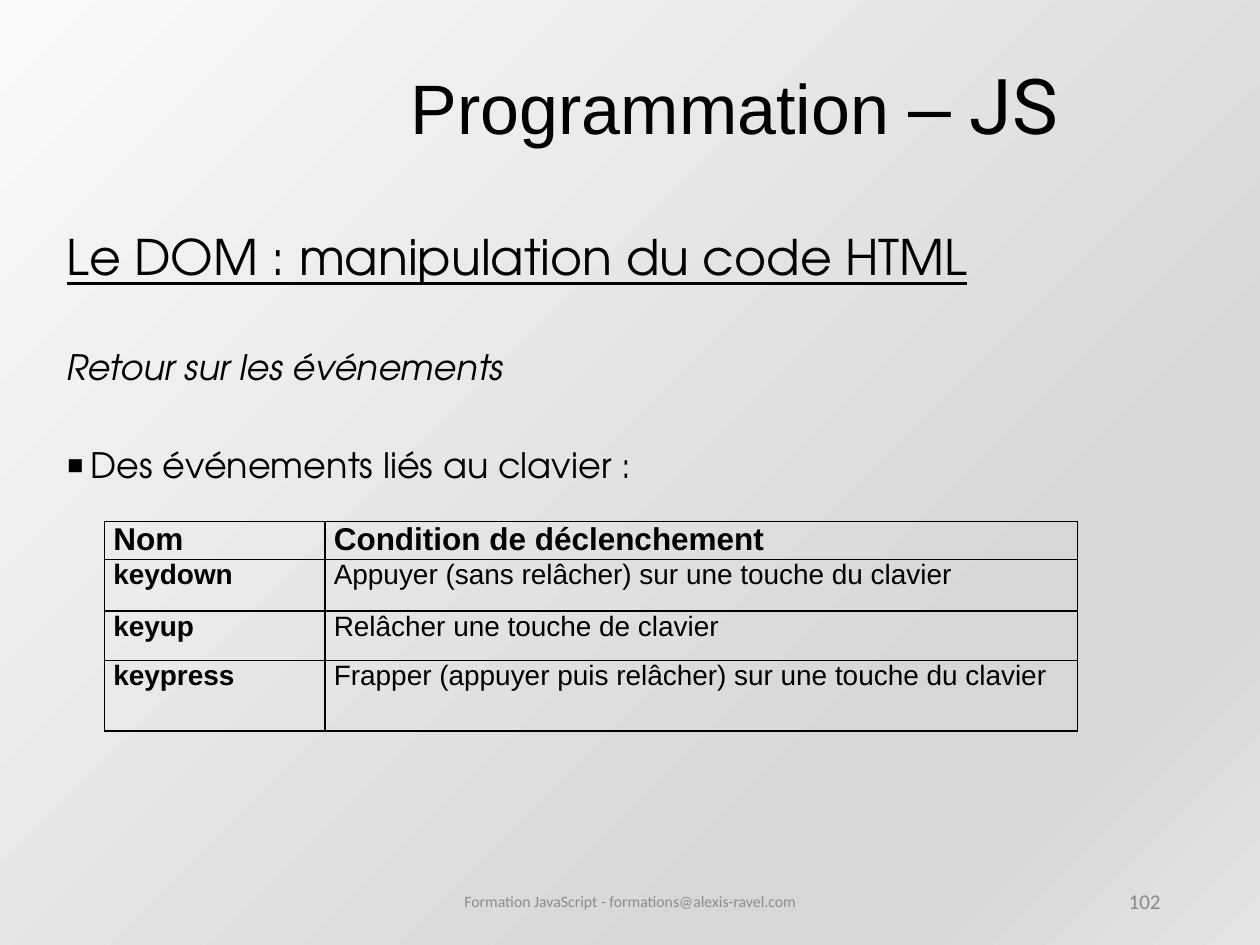
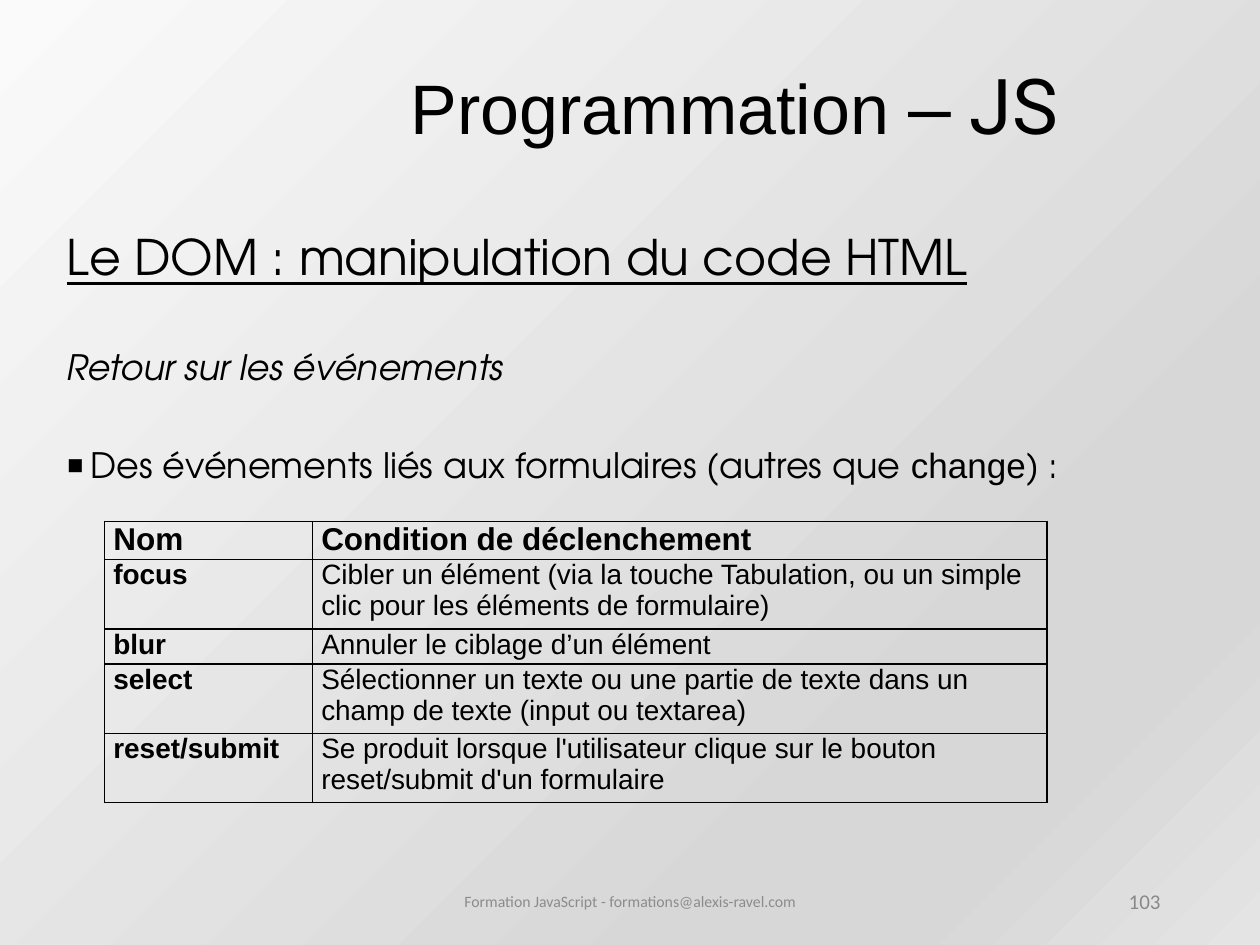
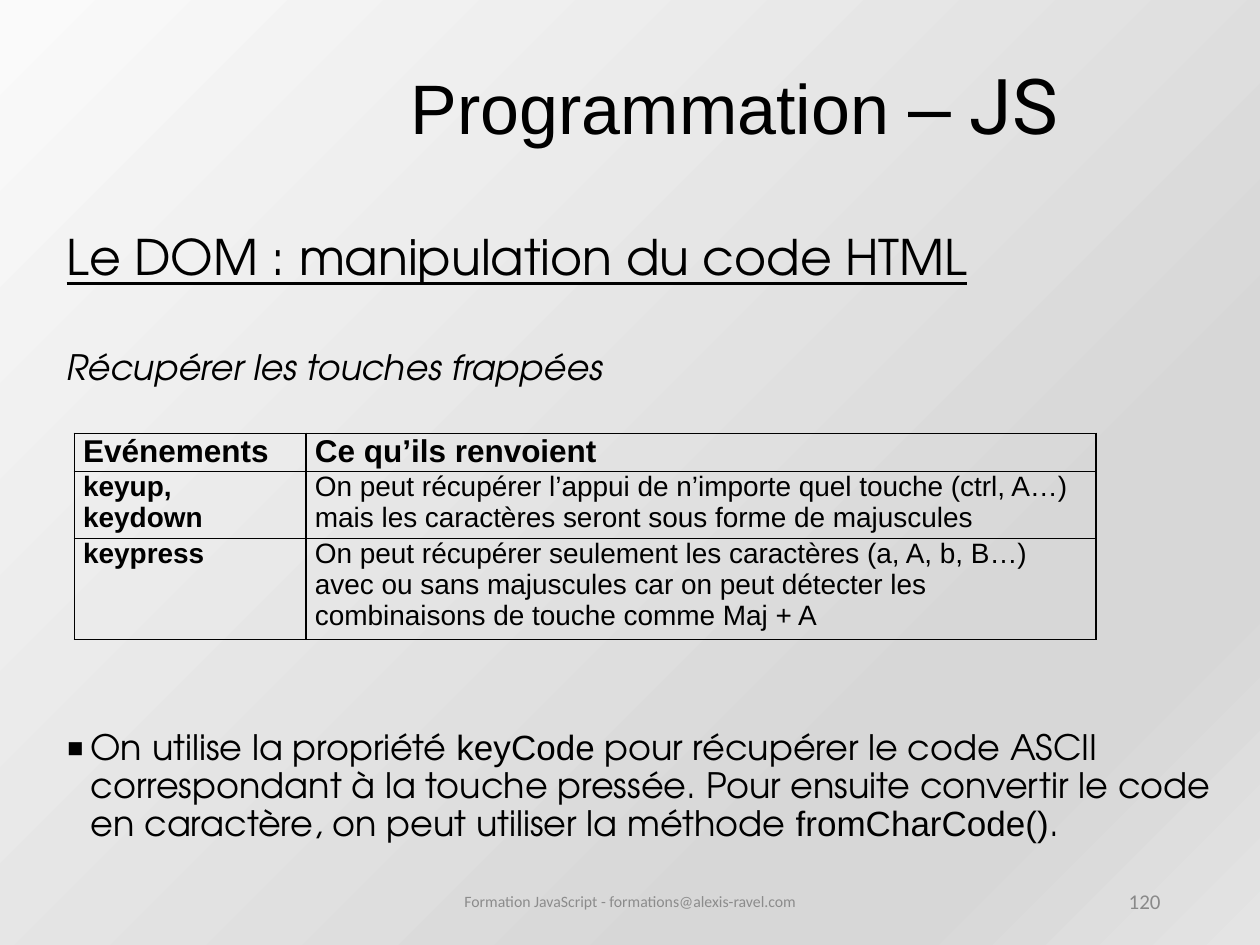
from dataclasses import dataclass

from pptx import Presentation
from pptx.dml.color import RGBColor
from pptx.enum.text import MSO_ANCHOR, PP_ALIGN
from pptx.oxml import parse_xml
from pptx.oxml.ns import nsdecls, qn
from pptx.util import Inches, Pt

COLORS = {
    "text": "000000",
    "border": "000000",
    "footer": "8C8C8C",
    "number": "898989",
    "light": "FAFAFA",
    "middle": "D7D7D7",
    "end": "E4E4E4",
}
BACKGROUND_STOPS = [(0, "light"), (74, "middle"), (83, "middle"), (100, "end")]
BODY_FONT = "TeX Gyre Adventor"
TABLE_FONT = "Arial"
CODE_FONT = "Arial"
TITLE_FONT = "Roboto"
FOOTER_FONT = "Calibri"
HEADING = "Le DOM : manipulation du code HTML"
FOOTER = "Formation JavaScript - formations@alexis-ravel.com"


@dataclass
class EventTable:
    left: float
    top: float
    widths: list[float]
    heights: list[float]
    rows: list[tuple[str, str]]


@dataclass
class Lesson:
    number: int
    topic: str
    bullet: list[tuple[str, str]]
    bullet_gap: float
    table: EventTable


LESSONS = [
    Lesson(
        102,
        "Retour sur les événements",
        [("Des événements liés au clavier :", BODY_FONT)],
        34.5,
        EventTable(0.83, 4.14, [1.75, 5.97], [0.3, 0.41, 0.39, 0.56], [
            ("Nom", "Condition de déclenchement"),
            ("keydown", "Appuyer (sans relâcher) sur une touche du clavier"),
            ("keyup", "Relâcher une touche de clavier"),
            ("keypress", "Frapper (appuyer puis relâcher) sur une touche du clavier"),
        ]),
    ),
    Lesson(
        103,
        "Retour sur les événements",
        [
            ("Des événements liés aux formulaires (autres que ", BODY_FONT),
            ("change", CODE_FONT),
            (") :", BODY_FONT),
        ],
        34.5,
        EventTable(0.83, 4.14, [1.65, 5.83], [0.3, 0.55, 0.28, 0.55, 0.55], [
            ("Nom", "Condition de déclenchement"),
            ("focus", "Cibler un élément (via la touche Tabulation, ou un simple "
                      "clic pour les éléments de formulaire)"),
            ("blur", "Annuler le ciblage d’un élément"),
            ("select", "Sélectionner un texte ou une partie de texte dans un "
                       "champ de texte (input ou textarea)"),
            ("reset/submit", "Se produit lorsque l'utilisateur clique sur le bouton "
                             "reset/submit d'un formulaire"),
        ]),
    ),
    Lesson(
        120,
        "Récupérer les touches frappées",
        [
            ("On utilise la propriété ", BODY_FONT),
            ("keyCode ", CODE_FONT),
            ("pour récupérer le code ASCII correspondant à la touche pressée. "
             "Pour ensuite convertir le code en caractère, on peut utiliser la "
             "méthode ", BODY_FONT),
            ("fromCharCode()", CODE_FONT),
            (".", BODY_FONT),
        ],
        196,
        EventTable(0.59, 3.44, [1.84, 6.27], [0.3, 0.53, 0.8], [
            ("Evénements", "Ce qu’ils renvoient"),
            ("keyup,\nkeydown", "On peut récupérer l’appui de n’importe quel touche "
                                "(ctrl, A…) mais les caractères seront sous forme "
                                "de majuscules"),
            ("keypress", "On peut récupérer seulement les caractères (a, A, b, B…) "
                         "avec ou sans majuscules car on peut détecter les "
                         "combinaisons de touche comme Maj + A"),
        ]),
    ),
]


def add_span(para, text: str, *, font: str, size: float, color: str = "text",
             bold: bool = False, italic: bool = False,
             underline: bool = False) -> None:
    span = para.add_run()
    span.text = text
    span.font.name = font
    span.font.size = Pt(size)
    span.font.bold = bold
    span.font.italic = italic
    span.font.underline = underline
    span.font.color.rgb = RGBColor.from_string(COLORS[color])


def add_box(page, left: float, top: float, width: float, height: float,
            anchor=MSO_ANCHOR.MIDDLE, align=PP_ALIGN.CENTER):
    """Add a wrapping text box and return its text frame."""
    box = page.shapes.add_textbox(
        Inches(left), Inches(top), Inches(width), Inches(height))
    frame = box.text_frame
    frame.word_wrap = True
    frame.vertical_anchor = anchor
    frame.paragraphs[0].alignment = align
    return frame


def set_background(master) -> None:
    master.background.fill.gradient()
    gradient = next(master.element.iter(qn("a:gradFill")))
    stops = "".join(
        f'<a:gs pos="{place * 1000}"><a:srgbClr val="{COLORS[name]}"/></a:gs>'
        for place, name in BACKGROUND_STOPS)
    gradient.getparent().replace(gradient, parse_xml(
        f'<a:gradFill {nsdecls("a")} rotWithShape="1"><a:gsLst>{stops}</a:gsLst>'
        '<a:lin ang="2700000" scaled="0"/></a:gradFill>'))


def set_bullet(para) -> None:
    properties = para._p.get_or_add_pPr()
    properties.set("marL", str(Inches(0.19)))
    properties.set("indent", str(Inches(-0.19)))
    for bullet in ('<a:buSzPct {} val="150000"/>',
                   '<a:buFont {} typeface="Arial"/>',
                   '<a:buChar {} char="▪"/>'):
        properties.append(parse_xml(bullet.format(nsdecls("a"))))


def set_borders(cell) -> None:
    properties = cell._tc.get_or_add_tcPr()
    for side in ("lnL", "lnR", "lnT", "lnB"):
        properties.append(parse_xml(
            f'<a:{side} {nsdecls("a")} w="{Pt(1)}"><a:solidFill>'
            f'<a:srgbClr val="{COLORS["border"]}"/></a:solidFill></a:{side}>'))


def add_title(page) -> None:
    para = add_box(page, 2.09, 0.28, 7.48, 1.09).paragraphs[0]
    add_span(para, "Programmation", font="Arial", size=40)
    for text, font in ((" ", TITLE_FONT), ("–", "Arial"), (" JS", TITLE_FONT)):
        add_span(para, text, font=font, size=44)


def add_footer(page, number: int) -> None:
    para = add_box(page, 3.31, 6.95, 3.38, 0.4).paragraphs[0]
    add_span(para, FOOTER, font=FOOTER_FONT, size=9, color="footer")
    para = add_box(page, 7.06, 6.95, 2.25, 0.4, align=PP_ALIGN.RIGHT).paragraphs[0]
    add_span(para, str(number), font=FOOTER_FONT, size=12, color="number")


def add_body(page, lesson: Lesson) -> None:
    frame = add_box(page, 0.43, 1.39, 9.29, 5.67, MSO_ANCHOR.TOP, PP_ALIGN.LEFT)
    frame.margin_top = Inches(0.46)
    heading = frame.paragraphs[0]
    topic = frame.add_paragraph()
    bullet = frame.add_paragraph()
    for para, gap in ((heading, 0), (topic, 36.5), (bullet, lesson.bullet_gap)):
        para.line_spacing = 0.9
        para.space_before = Pt(gap)
    add_span(heading, HEADING, font=BODY_FONT, size=28, underline=True)
    add_span(topic, lesson.topic, font=BODY_FONT, size=20, italic=True)
    set_bullet(bullet)
    for text, font in lesson.bullet:
        add_span(bullet, text, font=font, size=20)


def fill_cell(cell, text: str, *, size: float, bold: bool) -> None:
    cell.margin_left = cell.margin_right = Inches(0.07)
    cell.margin_top = cell.margin_bottom = 0
    set_borders(cell)
    cell.fill.background()
    frame = cell.text_frame
    for index, line in enumerate(text.split("\n")):
        para = frame.add_paragraph() if index else frame.paragraphs[0]
        add_span(para, line, font=TABLE_FONT, size=size, bold=bold)


def add_event_table(page, events: EventTable) -> None:
    table = page.shapes.add_table(
        len(events.rows), len(events.widths),
        Inches(events.left), Inches(events.top),
        Inches(sum(events.widths)), Inches(sum(events.heights))).table
    table.first_row = table.horz_banding = False
    for column, width in zip(table.columns, events.widths):
        column.width = Inches(width)
    for row, height in zip(table.rows, events.heights):
        row.height = Inches(height)
    for row_index, texts in enumerate(events.rows):
        is_header = row_index == 0
        for column_index, text in enumerate(texts):
            fill_cell(table.cell(row_index, column_index), text,
                      size=18 if is_header else 16,
                      bold=is_header or column_index == 0)


def main() -> None:
    deck = Presentation()
    deck.slide_width, deck.slide_height = Inches(10), Inches(7.5)
    set_background(deck.slide_master)
    for lesson in LESSONS:
        page = deck.slides.add_slide(deck.slide_layouts[6])
        add_body(page, lesson)
        add_footer(page, lesson.number)
        add_title(page)
        add_event_table(page, lesson.table)
    deck.save("out.pptx")


if __name__ == "__main__":
    main()
